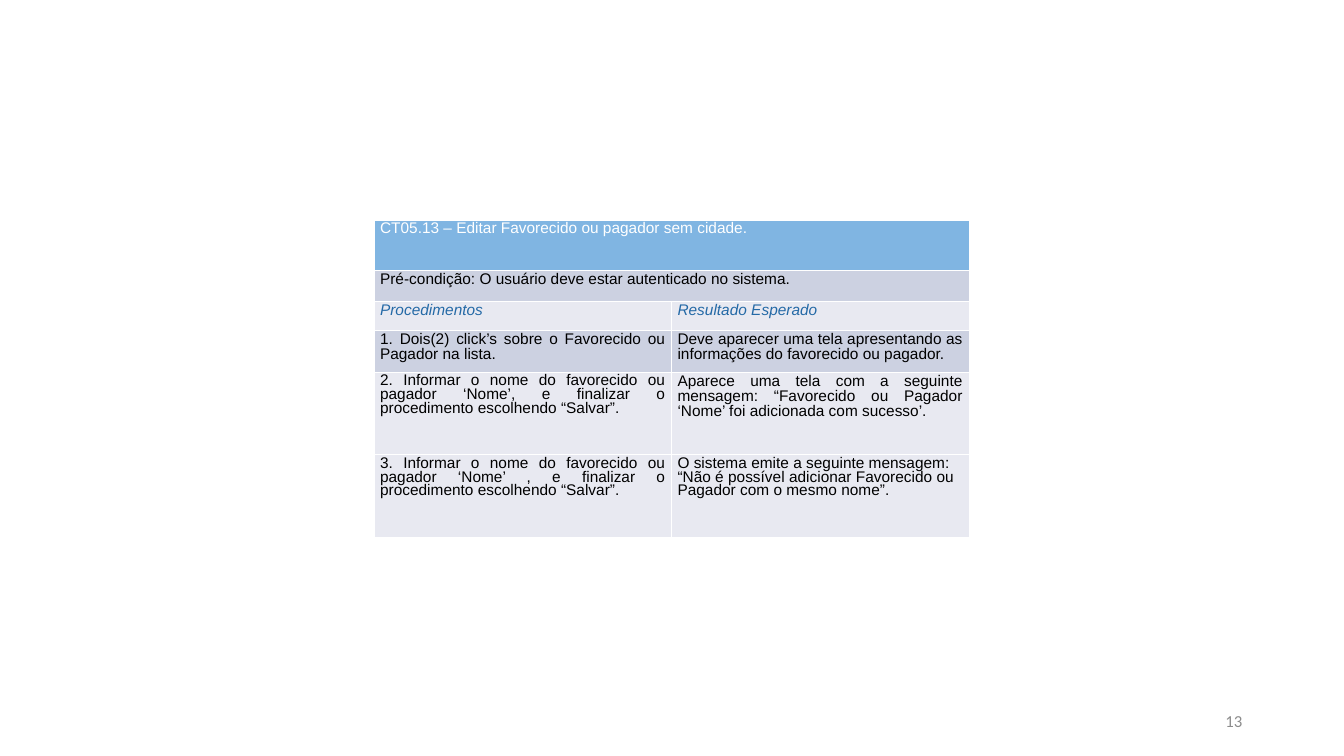
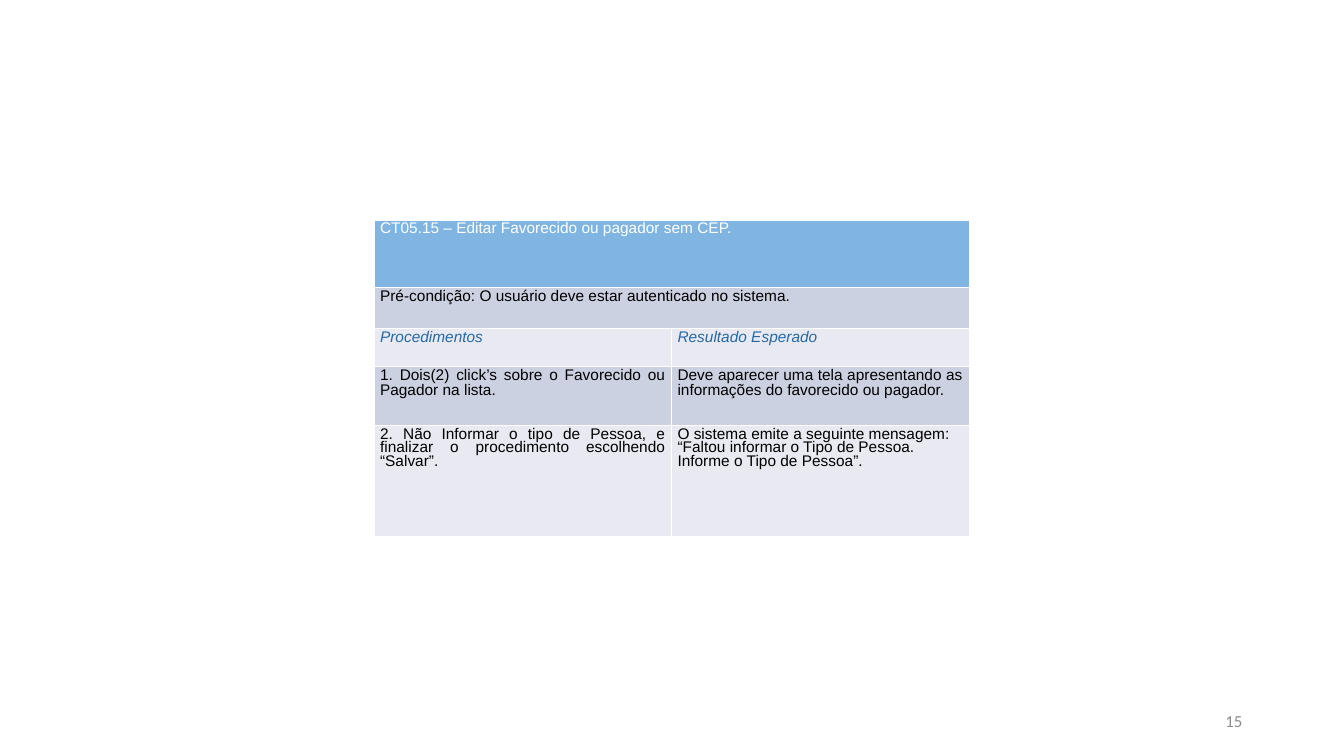
from lxml.etree import SubElement
from pptx import Presentation
from pptx.dml.color import RGBColor
from pptx.enum.text import MSO_ANCHOR, PP_ALIGN
from pptx.oxml.ns import qn
from pptx.util import Inches, Pt

SLIDE_WIDTH, SLIDE_HEIGHT = Inches(13.33), Inches(7.5)
TABLE_LEFT, TABLE_TOP = Inches(3.71), Inches(2.18)
COLUMN_WIDTH = Inches(2.95)
CELL_INSET_X, CELL_INSET_Y = Inches(0.06), Inches(0.03)
BORDER_WIDTH = Pt(0.06)

WHITE, BLACK, GRAY = "FFFFFF", "000000", "8C8C8C"
HEADER_BLUE, HEADING_BLUE = "80B5E2", "2469A6"
DARK_BAND, LIGHT_BAND = "CCD1E1", "E8E9F1"

LEFT, JUSTIFY = PP_ALIGN.LEFT, PP_ALIGN.JUSTIFY
TIGHT, LOOSE = 0.8, 0.86

PRECONDITION = "Pré-condição: O usuário deve estar autenticado no sistema."
HEADINGS = ("Procedimentos", "Resultado Esperado")
OPEN_STEP = (
    DARK_BAND,
    ("1. Dois(2) click’s sobre o Favorecido ou Pagador na lista.", JUSTIFY, LOOSE),
    ("Deve aparecer uma tela apresentando as informações do favorecido ou pagador.",
     JUSTIFY, LOOSE),
)

TEST_CASES = [
    {
        "page": "13",
        "name": "CT05.13 – Editar Favorecido ou pagador sem cidade.",
        "heights": (0.5, 0.31, 0.28, 0.42, 0.82, 0.82),
        "steps": [
            OPEN_STEP,
            (LIGHT_BAND,
             ("2. Informar o nome do favorecido ou pagador ‘Nome’, e finalizar o "
              "procedimento escolhendo “Salvar”.", JUSTIFY, TIGHT),
             ("Aparece uma tela com a seguinte mensagem: “Favorecido ou Pagador "
              "‘Nome’ foi adicionada com sucesso’.", JUSTIFY, LOOSE)),
            (LIGHT_BAND,
             ("3. Informar o nome do favorecido ou pagador ‘Nome’ , e finalizar o "
              "procedimento escolhendo “Salvar”.", JUSTIFY, TIGHT),
             ("O sistema emite a seguinte mensagem: “Não é possível adicionar "
              "Favorecido ou Pagador com o mesmo nome”.", LEFT, TIGHT)),
        ],
    },
    {
        "page": "15",
        "name": "CT05.15 – Editar Favorecido ou pagador sem CEP.",
        "heights": (0.67, 0.41, 0.37, 0.59, 1.1),
        "steps": [
            OPEN_STEP,
            (LIGHT_BAND,
             ("2. Não Informar o tipo de Pessoa, e finalizar o procedimento "
              "escolhendo “Salvar”.", JUSTIFY, TIGHT),
             ("O sistema emite a seguinte mensagem: “Faltou informar o Tipo de "
              "Pessoa. Informe o Tipo de Pessoa”.", LEFT, TIGHT)),
        ],
    },
]


def rgb(hex_color):
    return RGBColor.from_string(hex_color)


def style_paragraph(paragraph, font_name, size, color, alignment):
    paragraph.alignment = alignment
    paragraph.font.name = font_name
    paragraph.font.size = Pt(size)
    paragraph.font.color.rgb = rgb(color)


def add_page_number(slide, number):
    footer = slide.shapes.add_textbox(Inches(9.42), Inches(6.95), Inches(3), Inches(0.4))
    frame = footer.text_frame
    frame.word_wrap = True
    frame.vertical_anchor = MSO_ANCHOR.MIDDLE
    frame.text = number
    style_paragraph(frame.paragraphs[0], "Calibri", 12, GRAY, PP_ALIGN.RIGHT)


def set_borders(cell, color):
    properties = cell._tc.get_or_add_tcPr()
    for side in ("a:lnL", "a:lnR", "a:lnT", "a:lnB"):
        border = SubElement(properties, qn(side), w=str(int(BORDER_WIDTH)))
        SubElement(SubElement(border, qn("a:solidFill")), qn("a:srgbClr"), val=color)


def format_cell(cell, fill):
    set_borders(cell, WHITE)
    cell.fill.solid()
    cell.fill.fore_color.rgb = rgb(fill)
    cell.margin_left = cell.margin_right = CELL_INSET_X
    cell.margin_top = cell.margin_bottom = CELL_INSET_Y


def write_cell(cell, text, color=BLACK, alignment=LEFT, spacing=TIGHT, italic=False):
    cell.text = text
    paragraph = cell.text_frame.paragraphs[0]
    style_paragraph(paragraph, "Arial", 11, color, alignment)
    paragraph.line_spacing = spacing
    paragraph.font.italic = italic
    paragraph.font.bold = False


def add_test_case(slide, case):
    heights = [Inches(height) for height in case["heights"]]
    table = slide.shapes.add_table(len(heights), 2, TABLE_LEFT, TABLE_TOP,
                                   2 * COLUMN_WIDTH, sum(heights)).table
    table.first_row = table.horz_banding = False
    for column in table.columns:
        column.width = COLUMN_WIDTH
    fills = [HEADER_BLUE, DARK_BAND, LIGHT_BAND] + [step[0] for step in case["steps"]]
    for row, height, fill in zip(table.rows, heights, fills):
        row.height = height
        for cell in row.cells:
            format_cell(cell, fill)

    for row, (text, color) in enumerate([(case["name"], WHITE), (PRECONDITION, BLACK)]):
        table.cell(row, 0).merge(table.cell(row, 1))
        write_cell(table.cell(row, 0), text, color)
    for column, heading in enumerate(HEADINGS):
        write_cell(table.cell(2, column), heading, HEADING_BLUE, italic=True)
    for row, (_, *entries) in enumerate(case["steps"], start=3):
        for column, (text, alignment, spacing) in enumerate(entries):
            write_cell(table.cell(row, column), text, BLACK, alignment, spacing)


def main():
    deck = Presentation()
    deck.slide_width, deck.slide_height = SLIDE_WIDTH, SLIDE_HEIGHT
    blank_layout = deck.slide_layouts.get_by_name("Blank")
    for case in TEST_CASES:
        slide = deck.slides.add_slide(blank_layout)
        add_page_number(slide, case["page"])
        add_test_case(slide, case)
    deck.save("out.pptx")


main()
